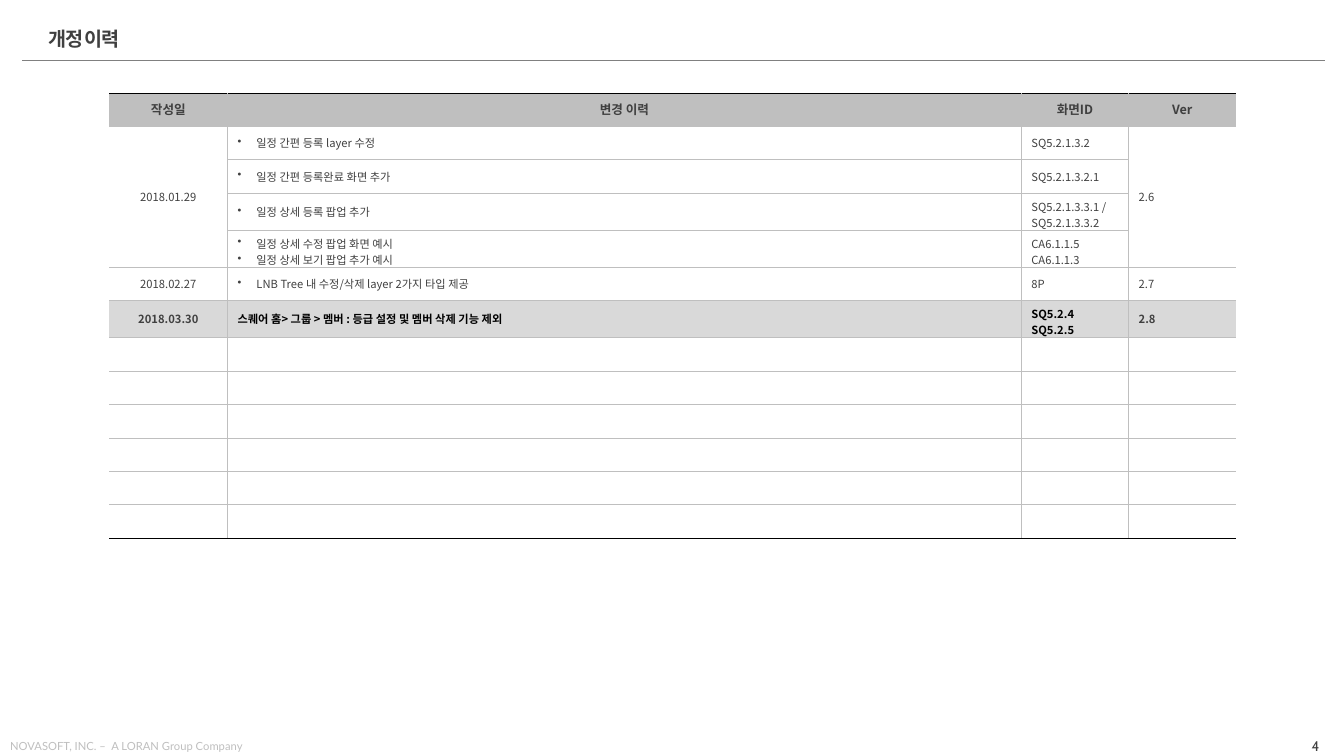
import pptx
import pptx.dml.color
import pptx.enum.shapes
import pptx.enum.text
import pptx.oxml.ns
import pptx.util
from lxml import etree

Pt = pptx.util.Pt
qn = pptx.oxml.ns.qn
ALIGN = pptx.enum.text.PP_ALIGN
MIDDLE = pptx.enum.text.MSO_ANCHOR.MIDDLE
KOREAN = "Noto Sans CJK KR"
DARK, GRID, BLACK = "404040", "BFBFBF", "000000"


def rgb(value):
    return pptx.dml.color.RGBColor.from_string(value)


def write(frame, lines, font, size, color, bold=False, alignment=ALIGN.LEFT):
    """Fill a text frame with one paragraph per line, all in one style."""
    for index, line in enumerate(lines):
        paragraph = frame.add_paragraph() if index else frame.paragraphs[0]
        paragraph.text = line
        paragraph.alignment = alignment
        paragraph.font.size = Pt(size)
        paragraph.font.bold = bold
        paragraph.font.color.rgb = rgb(color)
        paragraph.font.name = font
        defaults = paragraph._p.pPr.find(qn("a:defRPr"))
        etree.SubElement(defaults, qn("a:ea"), typeface=font)
        if not line:
            etree.SubElement(paragraph._p, qn("a:endParaRPr"), sz=str(size * 100))


presentation = pptx.Presentation()
presentation.slide_width = Pt(960)
presentation.slide_height = Pt(540)
slide = presentation.slides.add_slide(presentation.slide_layouts[6])

# Footer, page number and title
text_boxes = [
    ((894.2, 524.9, 51.1, 15.1), (2.9, 3.6), MIDDLE, False,
     ("4", "Cabin", 10, DARK, False, ALIGN.RIGHT)),
    ((4.3, 524.2, 258.5, 15.1), (2.9, 3.6), None, False,
     ("NOVASOFT, INC. –  A LORAN Group Company", "Lato", 8, GRID, False, ALIGN.LEFT)),
    ((34.6, 20.9, 674.6, 25.9), (0, 0), None, True,
     ("개정 이력", KOREAN, 14, DARK, True, ALIGN.LEFT)),
]
for box, (side, end), anchor, wrap, (text, *style) in text_boxes:
    frame = slide.shapes.add_textbox(*map(Pt, box)).text_frame
    frame.margin_left = frame.margin_right = Pt(side)
    frame.margin_top = frame.margin_bottom = Pt(end)
    frame.word_wrap = wrap
    if anchor is not None:
        frame.vertical_anchor = anchor
    write(frame, [text], *style)

title = frame.paragraphs[0]
title.line_spacing = 0.9
title.space_before = Pt(10)
title._p.pPr.find(qn("a:defRPr")).set("spc", "-100")

rule = slide.shapes.add_connector(
    pptx.enum.shapes.MSO_CONNECTOR.STRAIGHT, Pt(15.8), Pt(43.2), Pt(946.1), Pt(43.2))
rule.line.color.rgb = rgb("808080")
rule.line.width = Pt(0.75)
etree.SubElement(rule._element.spPr, qn("a:effectLst"))

# Revision table
rows = [
    ["작성일", "변경 이력", "화면ID", "Ver"],
    ["2018.01.29", "일정 간편 등록 layer 수정", "SQ5.2.1.3.2", "2.6"],
    ["", "일정 간편 등록완료 화면 추가", "SQ5.2.1.3.2.1", ""],
    ["", "일정 상세 등록 팝업 추가", "SQ5.2.1.3.3.1 / SQ5.2.1.3.3.2", ""],
    ["", "일정 상세 수정 팝업 화면 예시\n일정 상세 보기 팝업 추가 예시", "CA6.1.1.5\nCA6.1.1.3", ""],
    ["2018.02.27", "LNB Tree 내 수정/삭제 layer 2가지 타입 제공", "8P", "2.7"],
    ["2018.03.30", "스퀘어 홈> 그룹 > 멤버 : 등급 설정 및 멤버 삭제 기능 제외", "SQ5.2.4\nSQ5.2.5", "2.8"],
] + [[""] * 4 for _ in range(6)]
column_widths = [84.5, 567, 76.7, 76.7]
row_height = 23.9
last_row, last_column = len(rows) - 1, len(column_widths) - 1
highlighted_row = 6
fills = {0: GRID, highlighted_row: "D9D9D9"}

table = slide.shapes.add_table(
    len(rows), len(column_widths), Pt(78), Pt(66.2),
    Pt(sum(column_widths)), Pt(row_height * len(rows))).table
table.first_row = table.horz_banding = False
for column, width in zip(table.columns, column_widths):
    column.width = Pt(width)
for row in table.rows:
    row.height = Pt(row_height)
for column_index in (0, last_column):
    table.cell(1, column_index).merge(table.cell(4, column_index))

for row_index, texts in enumerate(rows):
    for column_index, text in enumerate(texts):
        cell = table.cell(row_index, column_index)
        cell.vertical_anchor = MIDDLE
        if row_index in fills:
            cell.fill.solid()
            cell.fill.fore_color.rgb = rgb(fills[row_index])
        else:
            cell.fill.background()

        header = row_index == 0
        black = row_index == highlighted_row and column_index in (1, 2)
        centred = header or column_index == 0
        write(cell.text_frame, text.split("\n"), KOREAN, 9 if header else 8,
              BLACK if black else DARK, row_index in fills,
              ALIGN.CENTER if centred else ALIGN.LEFT)

        if column_index == 1 and 1 <= row_index < highlighted_row:
            for paragraph in cell.text_frame.paragraphs:
                properties = paragraph._p.pPr
                properties.set("marL", str(Pt(13.5)))
                properties.set("indent", str(Pt(-13.5)))
                bullet = etree.Element(qn("a:buChar"), char="•")
                properties.find(qn("a:defRPr")).addprevious(bullet)

        borders = {
            "a:lnL": GRID if column_index > 0 else None,
            "a:lnR": GRID if column_index < last_column else None,
            "a:lnT": BLACK if header else GRID,
            "a:lnB": BLACK if row_index == last_row else GRID,
        }
        cell_properties = cell._tc.get_or_add_tcPr()
        for position, (tag, color) in enumerate(borders.items()):
            border = etree.Element(qn(tag), w=str(Pt(0.25)))
            if color:
                fill = etree.SubElement(border, qn("a:solidFill"))
                etree.SubElement(fill, qn("a:srgbClr"), val=color)
            else:
                etree.SubElement(border, qn("a:noFill"))
            cell_properties.insert(position, border)

presentation.save("out.pptx")
